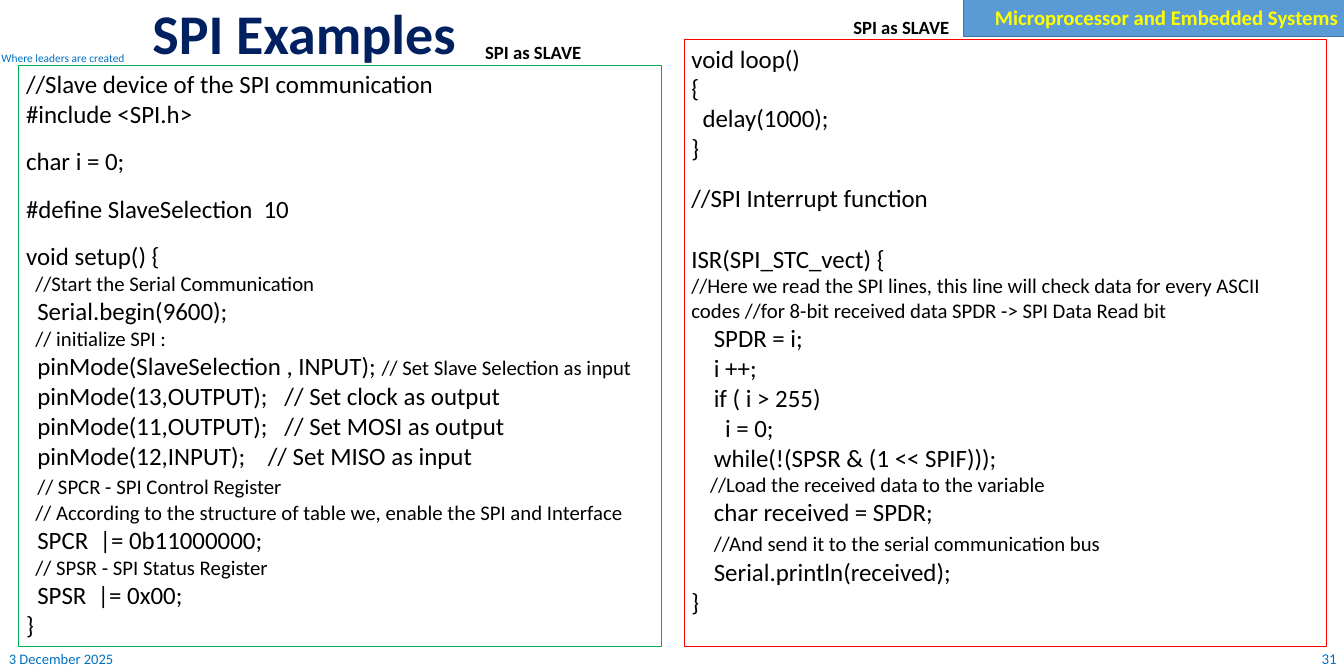
from pptx import Presentation
from pptx.dml.color import RGBColor
from pptx.enum.shapes import MSO_SHAPE
from pptx.enum.text import MSO_ANCHOR, MSO_AUTO_SIZE, PP_ALIGN
from pptx.util import Inches, Pt

RECT = MSO_SHAPE.RECTANGLE
TOP, MIDDLE = MSO_ANCHOR.TOP, MSO_ANCHOR.MIDDLE
LEFT, RIGHT = PP_ALIGN.LEFT, PP_ALIGN.RIGHT
FIXED = MSO_AUTO_SIZE.NONE
FONT = "Calibri"
CODE, NOTE = 24, 20
COLORS = {
    "black": "000000", "navy": "002060", "blue": "0070C0", "yellow": "FFFF00",
    "band": "5B9BD5", "edge": "43739E", "green": "00B050", "red": "FF0000",
}

SETUP = [
    (0, ("//Slave device of the SPI communication", CODE)),
    (0, ("#include <SPI.h>", CODE)),
    (17, ("char i = 0;", CODE)),
    (17, ("#define SlaveSelection  10", CODE)),
    (17, ("void setup() {", CODE)),
    (0, ("  //Start the Serial Communication", NOTE)),
    (0, ("  Serial.begin(9600);", CODE)),
    (0, ("  // initialize SPI :", NOTE)),
    (0, ("  pinMode(SlaveSelection , INPUT); ", CODE),
     ("// Set Slave Selection as input", NOTE)),
    (0, ("  pinMode(13,OUTPUT);   // Set clock as output", CODE)),
    (0, ("  pinMode(11,OUTPUT);   // Set MOSI as output", CODE)),
    (0, ("  pinMode(12,INPUT);    // Set MISO as input", CODE)),
    (0, ("  ", CODE), ("// SPCR - SPI Control Register", NOTE)),
    (0, ("  // According to the structure of table we, enable the SPI and Interface", NOTE)),
    (0, ("  SPCR  |= 0b11000000;", CODE)),
    (0, ("  // SPSR - SPI Status Register", NOTE)),
    (0, ("  SPSR  |= 0x00;", CODE)),
    (0, ("}", CODE)),
]

LOOP = [
    (0, ("void loop()", CODE)),
    (0, ("{", CODE)),
    (0, ("  delay(1000);", CODE)),
    (0, ("}", CODE)),
    (19.5, ("//SPI Interrupt function", CODE)),
    (29.3, ("ISR(SPI_STC_vect) {", CODE)),
    (0, ("//Here we read the SPI lines, this line will check data for every ASCII "
         "codes //for 8-bit received data SPDR -> SPI Data Read bit", NOTE)),
    (0, ("    SPDR = i;", CODE)),
    (0, ("    i ++;", CODE)),
    (0, ("    if ( i > 255)", CODE)),
    (0, ("      i = 0;", CODE)),
    (0, ("    while(!(SPSR & (1 << SPIF)));", CODE)),
    (0, ("    //Load the received data to the variable", NOTE)),
    (0, ("    char received = SPDR;", CODE)),
    (0, ("    ", CODE), ("//And send it to the serial communication bus", NOTE)),
    (0, ("    Serial.println(received);", CODE)),
    (0, ("}", CODE)),
]


def color(name):
    return RGBColor.from_string(COLORS[name])


def add_run(para, text, size, tint, bold=False):
    run = para.add_run()
    run.text = text
    run.font.name = FONT
    run.font.size = Pt(size)
    run.font.bold = bold
    run.font.color.rgb = color(tint)


def add_rect(slide, box, fill, line, width):
    rect = slide.shapes.add_shape(RECT, *map(Inches, box))
    rect.shadow.inherit = False
    if fill:
        rect.fill.solid()
        rect.fill.fore_color.rgb = color(fill)
    else:
        rect.fill.background()
    rect.line.color.rgb = color(line)
    rect.line.width = Pt(width)
    return rect


def add_label(slide, box, text, size, tint, bold=False, align=LEFT,
              anchor=TOP, wrap=False, inset=True):
    frame = slide.shapes.add_textbox(*map(Inches, box)).text_frame
    frame.word_wrap = wrap
    frame.vertical_anchor = anchor
    if not inset:
        frame.margin_left = frame.margin_right = 0
        frame.margin_top = frame.margin_bottom = 0
    para = frame.paragraphs[0]
    para.alignment = align
    add_run(para, text, size, tint, bold)


def add_title(slide, box, text):
    title = slide.shapes.title
    title.left, title.top, title.width, title.height = map(Inches, box)
    frame = title.text_frame
    frame.auto_size = FIXED
    frame.vertical_anchor = MIDDLE
    para = frame.paragraphs[0]
    para.alignment = LEFT
    para.line_spacing = 0.9
    add_run(para, text, 54, "navy", True)


def add_header(slide, box):
    left, top, width, height = box
    band = 5.12
    rect = add_rect(slide, (left + width - band, top, band, 0.51), "band", "edge", 1)
    frame = rect.text_frame
    frame.vertical_anchor = MIDDLE
    para = frame.paragraphs[0]
    para.alignment = RIGHT
    add_run(para, "Microprocessor and Embedded Systems", 20, "yellow", True)
    add_label(slide, (left + 0.02, top + 0.7, 1.67, 0.19),
              "Where leaders are created", 11, "blue", inset=False)
    add_title(slide, (left + 1.94, top + 0.15, 10.89, 0.71), "SPI Examples")


def add_code(slide, box, lines, line, shift):
    left, top = box[:2]
    frame = add_rect(slide, box, None, line, 0.75).text_frame
    frame.word_wrap = True
    frame.vertical_anchor = TOP
    for index, (gap, *runs) in enumerate(lines):
        para = frame.add_paragraph() if index else frame.paragraphs[0]
        para.alignment = LEFT
        if gap:
            para.space_before = Pt(gap)
        for text, size in runs:
            add_run(para, text, size, "black")
    add_label(slide, (left + shift, top - 0.37, 1.5, 0.4),
              "SPI as SLAVE", 18, "black", True)


def add_footer(slide, box):
    left, top, width, height = box
    page = 1.44
    add_label(slide, (left + 0.02, top, 3.05, height), "3 December 2025",
              14, "blue", anchor=MIDDLE, wrap=True)
    add_label(slide, (left + width - page, top, page, height), "31",
              14.4, "blue", align=RIGHT, anchor=MIDDLE, wrap=True)


def main():
    deck = Presentation()
    deck.slide_width, deck.slide_height = Inches(18), Inches(9)
    slide = deck.slides.add_slide(deck.slide_layouts[5])
    add_header(slide, (0, -0.02, 18.02, 0.89))
    add_code(slide, (0.25, 0.87, 8.61, 7.79), SETUP, "green", 6.15)
    add_code(slide, (9.16, 0.53, 8.61, 8.13), LOOP, "red", 2.17)
    add_footer(slide, (0, 8.66, 18, 0.33))
    deck.save("out.pptx")


if __name__ == "__main__":
    main()
